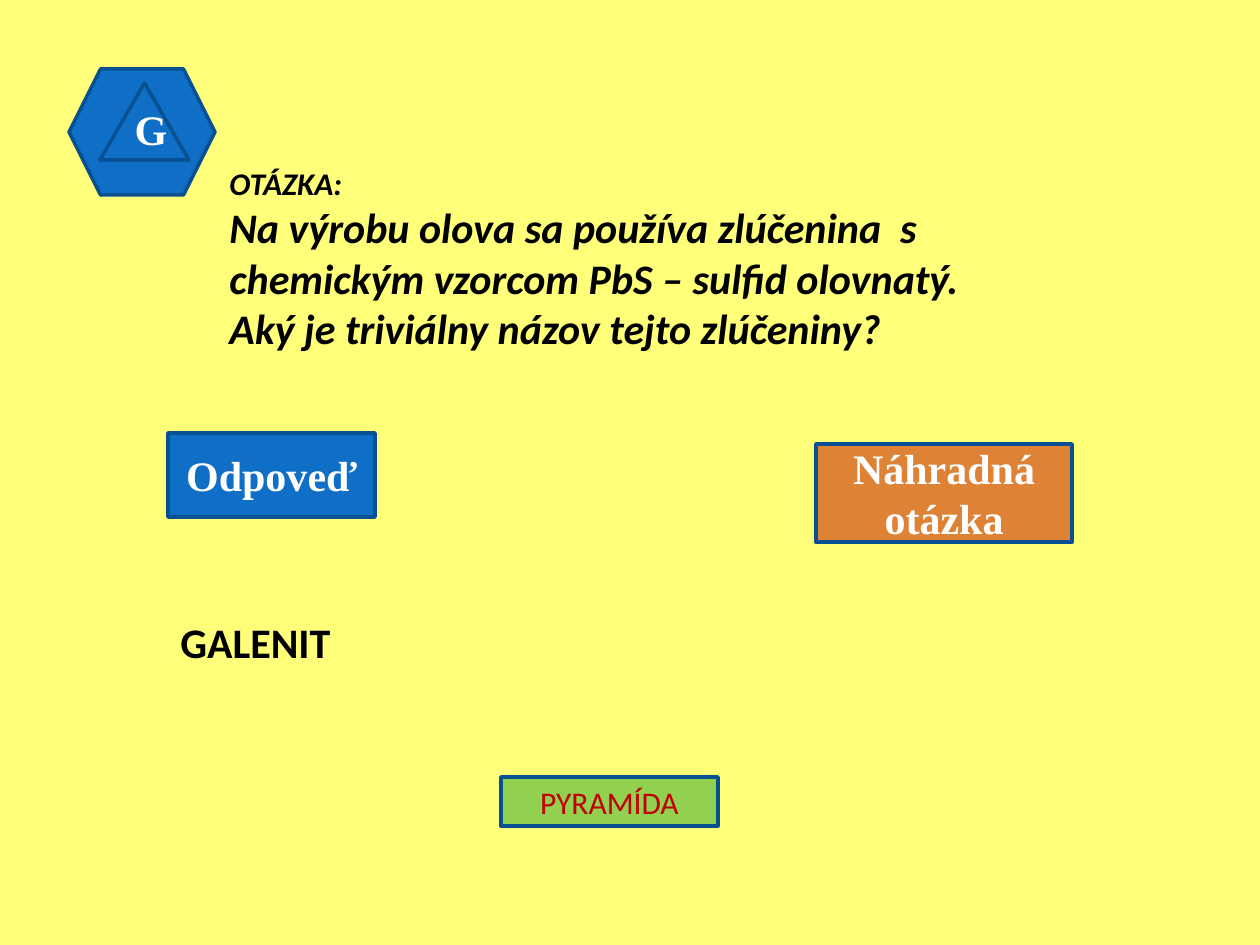
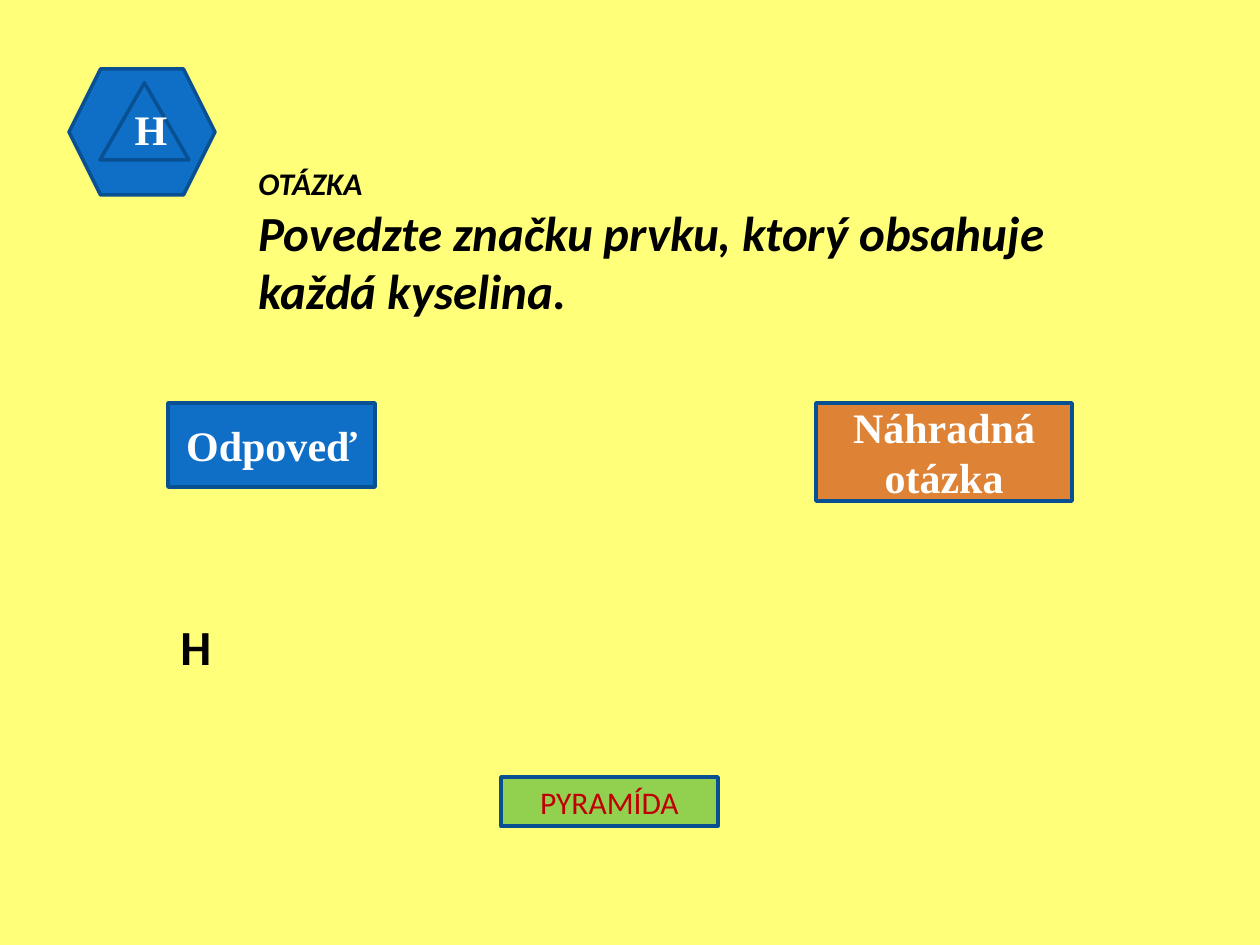
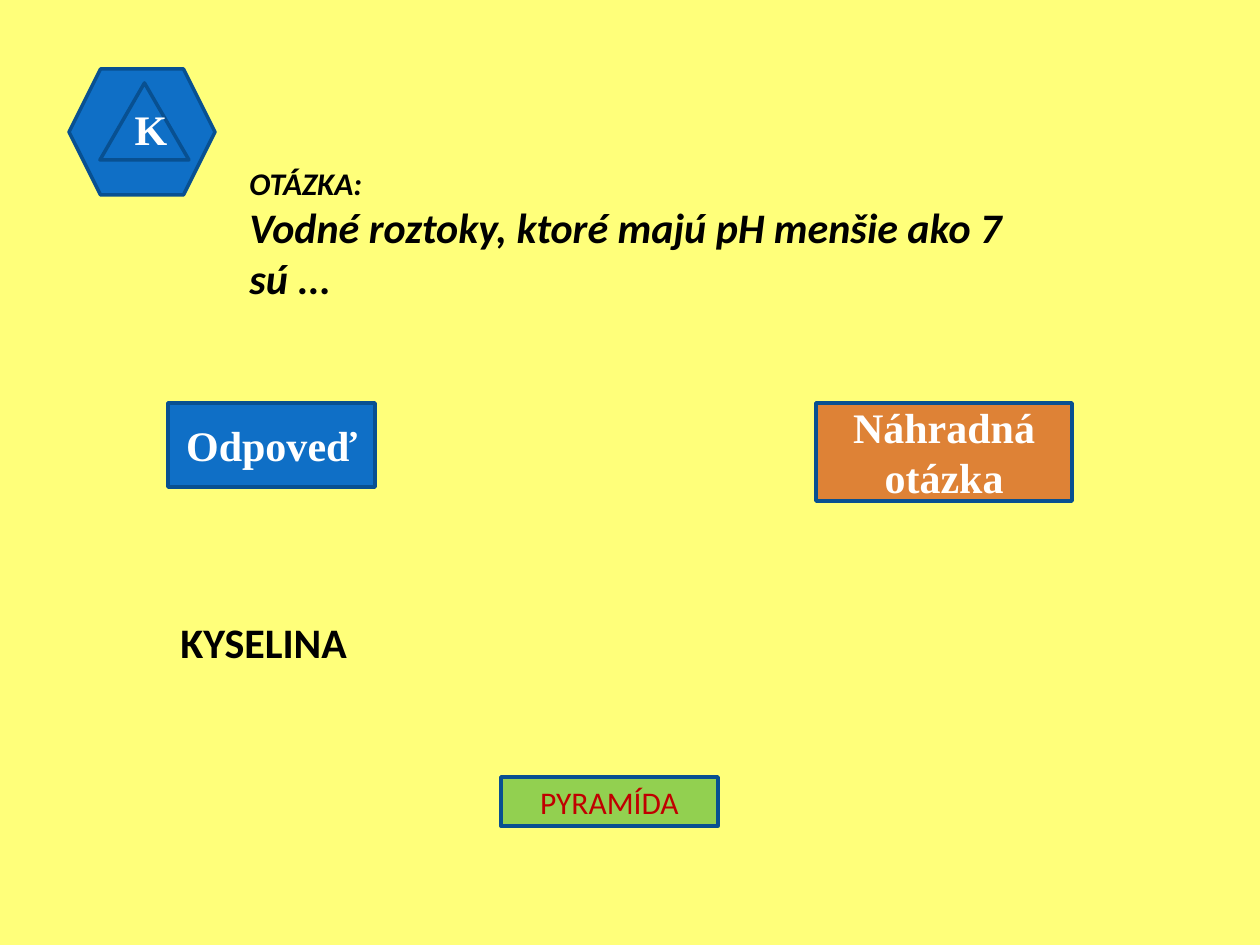
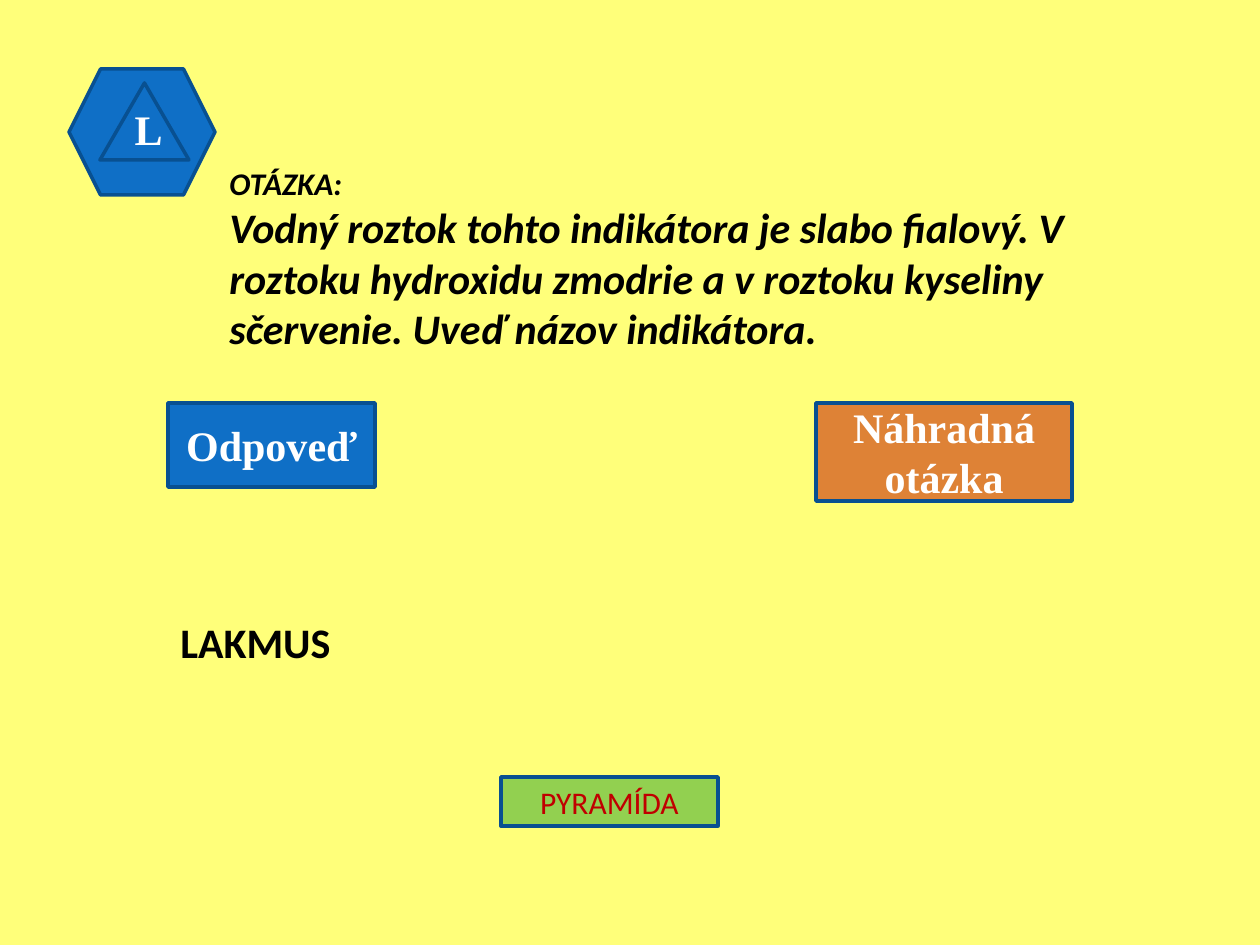
import pptx
import pptx.util
import pptx.dml.color
import pptx.enum.shapes
import pptx.enum.text

QUESTIONS = [
    {"letter": "G", "label": "OTÁZKA:", "size": 24, "box": (217, 866, 302), "buttons": (433, 444),
     "text": ["Na výrobu olova sa používa zlúčenina  s chemickým vzorcom PbS – sulfid olovnatý.",
              "Aký je triviálny názov tejto zlúčeniny?"],
     "answer": "GALENIT"},
    {"letter": "H", "label": "OTÁZKA", "size": 28, "box": (246, 886, 169), "buttons": (403, 403),
     "text": ["Povedzte značku prvku, ktorý obsahuje každá kyselina."],
     "answer": "H"},
    {"letter": "K", "label": "OTÁZKA:", "size": 24, "box": (237, 816, 151), "buttons": (403, 403),
     "text": ["Vodné roztoky, ktoré majú pH menšie ako 7 sú ..."],
     "answer": "KYSELINA"},
    {"letter": "L", "label": "OTÁZKA:", "size": 24, "box": (217, 916, 202), "buttons": (403, 403),
     "text": ["Vodný roztok tohto indikátora je slabo fialový. V roztoku hydroxidu zmodrie "
              "a v roztoku kyseliny sčervenie. Uveď názov indikátora."],
     "answer": "LAKMUS"},
]

COLORS = {"background": "FFFF7A", "blue": "0F6FC6", "outline": "085091", "orange": "DE8236",
          "green": "92D050", "red": "C00000", "white": "FFFFFF", "black": "000000"}
SANS, SERIF = "Calibri", "Times New Roman"
SCALE = pptx.util.Inches(1) / 126

SHAPE = pptx.enum.shapes.MSO_SHAPE
ANCHOR = pptx.enum.text.MSO_ANCHOR
ALIGN = pptx.enum.text.PP_ALIGN


def rgb(name):
    return pptx.dml.color.RGBColor.from_string(COLORS[name])


def emu(box):
    return [round(v * SCALE) for v in box]


def style(p, size, color, name, bold=True, italic=False):
    for r in p.runs:
        f = r.font
        f.name, f.size, f.bold, f.italic = name, pptx.util.Pt(size), bold, italic
        f.color.rgb = rgb(color)


def add_shape(s, kind, box, fill, text="", size=24, color="white", name=SERIF, bold=True,
              anchor=ANCHOR.MIDDLE):
    sp = s.shapes.add_shape(kind, *emu(box))
    sp.shadow.inherit = False
    sp.fill.solid()
    sp.fill.fore_color.rgb = rgb(fill)
    sp.line.color.rgb = rgb("outline")
    sp.line.width = pptx.util.Pt(2)
    if text:
        tf = sp.text_frame
        tf.text = text
        tf.word_wrap = True
        tf.vertical_anchor = anchor
        p = tf.paragraphs[0]
        p.alignment = ALIGN.CENTER
        style(p, size, color, name, bold)


def add_text(s, box, lines, sizes, italic=False):
    tf = s.shapes.add_textbox(*emu(box)).text_frame
    tf.word_wrap = True
    tf.auto_size = pptx.enum.text.MSO_AUTO_SIZE.SHAPE_TO_FIT_TEXT
    tf.text = "\n".join(lines)
    for p, size in zip(tf.paragraphs, sizes):
        style(p, size, "black", SANS, italic=italic)


def add_question(prs, q):
    s = prs.slides.add_slide(prs.slide_layouts[6])
    left, width, height = q["box"]
    answer_top, spare_top = q["buttons"]
    size = q["size"]
    add_shape(s, SHAPE.HEXAGON, (69, 69, 146, 126), "blue")
    add_shape(s, SHAPE.ISOSCELES_TRIANGLE, (100, 83, 89, 77), "blue", q["letter"],
              anchor=ANCHOR.BOTTOM)
    add_text(s, (left, 158, width, height), [q["label"]] + q["text"],
             [18] + [size] * len(q["text"]), italic=True)
    button = SHAPE.FLOWCHART_PROCESS
    add_shape(s, button, (168, answer_top, 207, 84), "blue", "Odpoveď")
    add_shape(s, button, (816, spare_top, 256, 98), "orange", "Náhradná otázka")
    add_shape(s, button, (501, 777, 217, 49), "green", "PYRAMÍDA", 18, "red", SANS, False)
    add_text(s, (168, 610, 207, 63 if size == 24 else 72), [q["answer"]], [size])


def main():
    prs = pptx.Presentation()
    prs.slide_width, prs.slide_height = emu((1260, 945))
    fill = prs.slide_master.background.fill
    fill.solid()
    fill.fore_color.rgb = rgb("background")
    for q in QUESTIONS:
        add_question(prs, q)
    prs.save("out.pptx")


if __name__ == "__main__":
    main()
